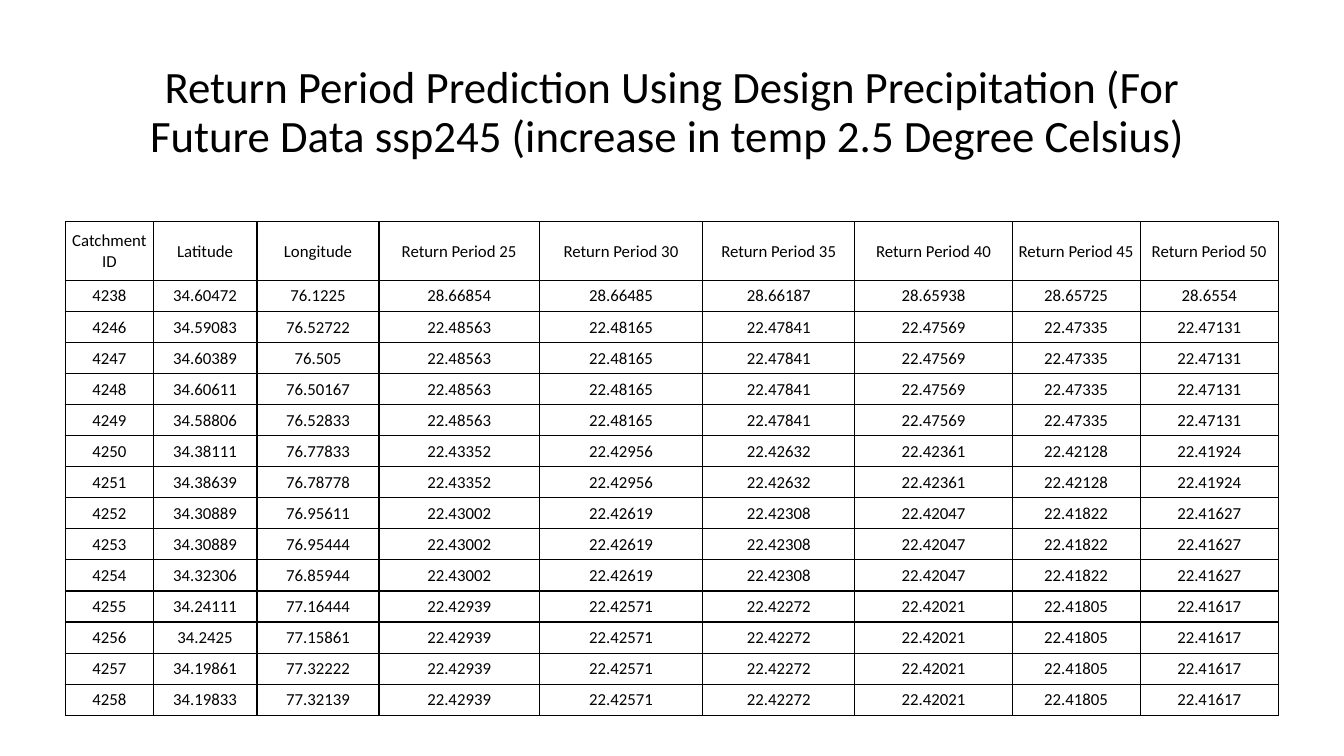
from lxml.etree import SubElement
from pptx import Presentation
from pptx.dml.color import RGBColor
from pptx.enum.text import MSO_ANCHOR, MSO_AUTO_SIZE, PP_ALIGN
from pptx.oxml.ns import qn
from pptx.util import Inches, Pt

BLACK = RGBColor(0, 0, 0)
WHITE = RGBColor(255, 255, 255)
FONT = "Calibri"

TITLE = ("Return Period Prediction Using Design Precipitation (For Future Data "
         "ssp245 (increase in temp 2.5 Degree Celsius) ")
YEARS = range(25, 51, 5)
HEAD = ["Catchment ID", "Latitude", "Longitude"] + [f"Return Period {y}" for y in YEARS]
WIDTHS = [0.87, 1.03, 1.21, 1.59, 1.62, 1.51, 1.56, 1.27, 1.37]

# Catchments that share the same design precipitation: (places, values per period)
GROUPS = [
    (["4238 34.60472 76.1225"],
     "28.66854 28.66485 28.66187 28.65938 28.65725 28.6554"),
    (["4246 34.59083 76.52722", "4247 34.60389 76.505",
      "4248 34.60611 76.50167", "4249 34.58806 76.52833"],
     "22.48563 22.48165 22.47841 22.47569 22.47335 22.47131"),
    (["4250 34.38111 76.77833", "4251 34.38639 76.78778"],
     "22.43352 22.42956 22.42632 22.42361 22.42128 22.41924"),
    (["4252 34.30889 76.95611", "4253 34.30889 76.95444", "4254 34.32306 76.85944"],
     "22.43002 22.42619 22.42308 22.42047 22.41822 22.41627"),
    (["4255 34.24111 77.16444", "4256 34.2425 77.15861",
      "4257 34.19861 77.32222", "4258 34.19833 77.32139"],
     "22.42939 22.42571 22.42272 22.42021 22.41805 22.41617"),
]


def put_text(frame, text, size=12, color=BLACK, align=PP_ALIGN.CENTER, space=1.0):
    frame.word_wrap = True
    para = frame.paragraphs[0]
    para.alignment = align
    para.line_spacing = space
    run = para.add_run()
    run.text = text
    run.font.size = Pt(size)
    run.font.name = FONT
    run.font.color.rgb = color


def add_title(slide, left, top, width, height):
    title = slide.shapes.title
    title.left, title.top = Inches(left), Inches(top)
    title.width, title.height = Inches(width), Inches(height)
    frame = title.text_frame
    frame.auto_size = MSO_AUTO_SIZE.NONE
    frame.vertical_anchor = MSO_ANCHOR.MIDDLE
    put_text(frame, TITLE, size=32, space=0.9)


def add_border(cell, color=BLACK, width=1):
    props = cell._tc.get_or_add_tcPr()
    for side in ("a:lnL", "a:lnR", "a:lnT", "a:lnB"):
        line = SubElement(props, qn(side), w=str(Pt(width)))
        fill = SubElement(line, qn("a:solidFill"))
        SubElement(fill, qn("a:srgbClr"), val=str(color))


def fill_cell(cell, text):
    cell.margin_left = cell.margin_right = cell.margin_top = Inches(0.01)
    cell.margin_bottom = 0
    cell.vertical_anchor = MSO_ANCHOR.MIDDLE
    add_border(cell)
    cell.fill.solid()
    cell.fill.fore_color.rgb = WHITE
    put_text(cell.text_frame, text)


def add_grid(slide, left, top, width, height, head=0.58):
    rows = [HEAD] + [place.split() + values.split()
                     for places, values in GROUPS for place in places]
    table = slide.shapes.add_table(len(rows), len(HEAD), Inches(left), Inches(top),
                                   Inches(width), Inches(height)).table
    table.first_row = table.horz_banding = False

    # Column widths, a tall header and equal data rows
    for col, size in zip(table.columns, WIDTHS):
        col.width = Inches(size * width / sum(WIDTHS))
    for i, row in enumerate(table.rows):
        row.height = Inches((height - head) / (len(rows) - 1) if i else head)

    for r, row in enumerate(rows):
        for c, text in enumerate(row):
            fill_cell(table.cell(r, c), text)


def main():
    deck = Presentation()
    deck.slide_width, deck.slide_height = Inches(13.33), Inches(7.5)
    slide = deck.slides.add_slide(deck.slide_layouts[5])
    add_title(slide, 0.92, 0.4, 11.5, 1.45)
    add_grid(slide, 0.65, 2.2, 12.03, 4.9)
    deck.save("out.pptx")


if __name__ == "__main__":
    main()
